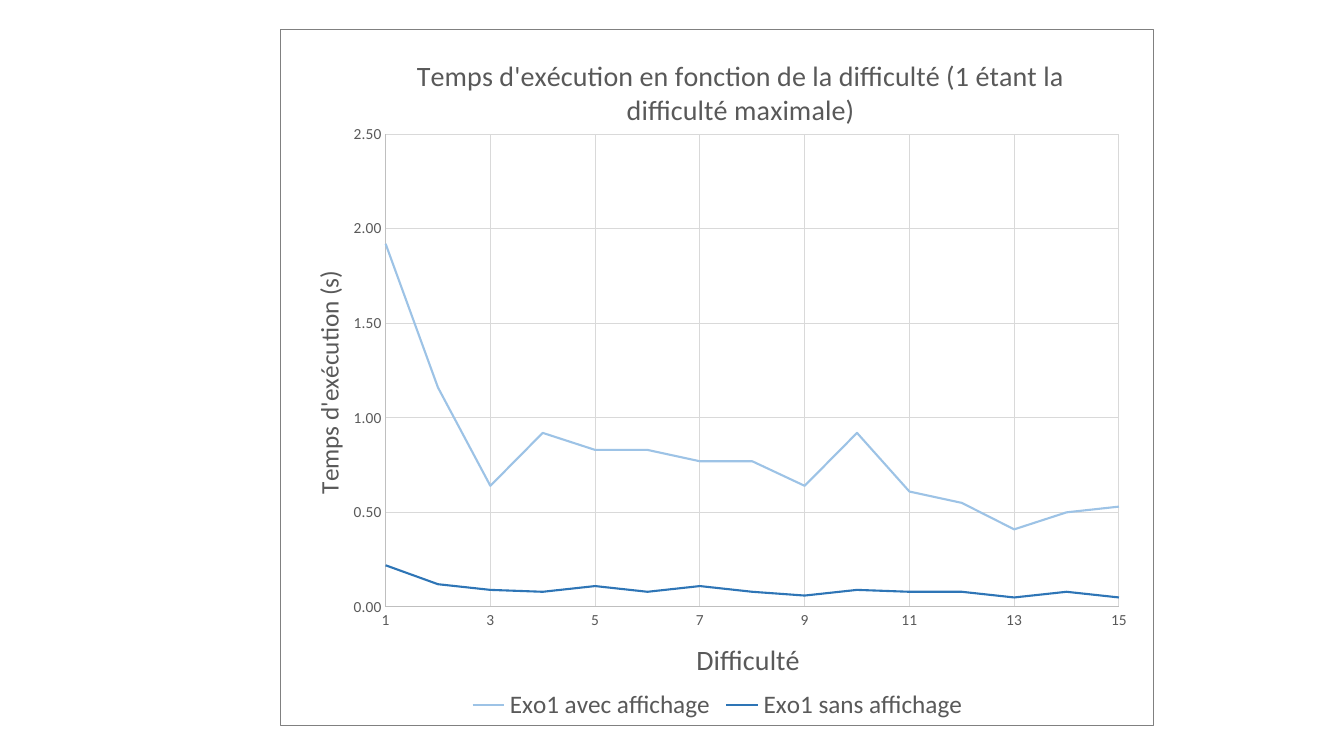
"""Build a slide charting execution time against difficulty."""
from dataclasses import dataclass

from lxml import etree
from pptx import Presentation
from pptx import util as u
from pptx.chart.data import XyChartData
from pptx.dml.color import RGBColor
from pptx.enum import chart as ch
from pptx.oxml import parse_xml
from pptx.oxml.ns import nsdecls, qn

COLORS = {"text": "595959", "grid": "D9D9D9", "axis": "BFBFBF", "border": "808080",
          "background": "FFFFFF", "with_display": "9DC3E6", "without_display": "2E75B6"}
FONT = "Calibri"


@dataclass(frozen=True)
class Timing:
    name: str
    color: str
    seconds: tuple[float, ...]


@dataclass(frozen=True)
class Heading:
    wording: str
    size: float
    x: float
    y: float


@dataclass(frozen=True)
class Scale:
    heading: Heading
    low: float
    high: float
    step: float
    number_format: str


TIMINGS = (
    Timing("Exo1 avec affichage", "with_display",
           (0.53, 0.5, 0.41, 0.55, 0.61, 0.92, 0.64, 0.77, 0.77, 0.83, 0.83, 0.92, 0.64, 1.16, 1.92)),
    Timing("Exo1 sans affichage", "without_display",
           (0.05, 0.08, 0.05, 0.08, 0.08, 0.09, 0.06, 0.08, 0.11, 0.08, 0.11, 0.08, 0.09, 0.12, 0.22)),
)
CHART_HEADING = Heading(
    "Temps d'exécution en fonction de la difficulté (1 étant la difficulté maximale)", 20, 0.15, 0.03)
DIFFICULTY = Scale(Heading("Difficulté", 20, 0.47, 0.87), 1, 15, 2, "General")
DURATION = Scale(Heading("Temps d'exécution (s)", 18, 0.03, 0.34), 0, 2.5, 0.5, "0.00")


def style_font(font, size: float) -> None:
    font.name = FONT
    font.size = u.Pt(size)
    font.bold = False
    font.color.rgb = RGBColor.from_string(COLORS["text"])


def style_line(line, color: str, width: float = 0.75) -> None:
    line.color.rgb = RGBColor.from_string(COLORS[color])
    line.width = u.Pt(width)


def place(parent, index: int, target: str = "", **lengths: float) -> None:
    for layout in parent.findall(qn("c:layout")):
        parent.remove(layout)
    layout = parse_xml(f"<c:layout {nsdecls('c')}><c:manualLayout/></c:layout>")
    settings = {"layoutTarget": target} if target else {}
    settings |= {"xMode": "edge", "yMode": "edge"} | lengths
    for tag, value in settings.items():
        etree.SubElement(layout[0], qn(f"c:{tag}")).set("val", str(value))
    parent.insert(index, layout)


def write_heading(owner, parent, heading: Heading, title) -> None:
    frame = title.text_frame
    frame.text = heading.wording
    style_font(frame.paragraphs[0].runs[0].font, heading.size)
    place(parent.find(qn("c:title")), 1, x=heading.x, y=heading.y)


def style_axis(axis, scale: Scale, parent) -> None:
    axis.minimum_scale, axis.maximum_scale = scale.low, scale.high
    axis.major_unit = scale.step
    axis.major_tick_mark = axis.minor_tick_mark = ch.XL_TICK_MARK.NONE
    axis.has_major_gridlines = True
    style_line(axis.major_gridlines.format.line, "grid")
    style_line(axis.format.line, "axis")
    labels = axis.tick_labels
    labels.number_format = scale.number_format
    labels.number_format_is_linked = False
    style_font(labels.font, 11)
    write_heading(axis, parent, scale.heading, axis.axis_title)


def add_border(chart_space) -> None:
    border = parse_xml(
        f'<c:spPr {nsdecls("c", "a")}><a:solidFill><a:srgbClr val="{COLORS["background"]}"/></a:solidFill>'
        f'<a:ln w="{u.Pt(0.75)}"><a:solidFill><a:srgbClr val="{COLORS["border"]}"/></a:solidFill></a:ln></c:spPr>')
    chart_space.find(qn("c:chart")).addnext(border)


def add_timing_chart(slide) -> None:
    data = XyChartData()
    for timing in TIMINGS:
        series = data.add_series(timing.name)
        for offset, seconds in enumerate(timing.seconds):
            series.add_data_point(DIFFICULTY.high - offset, seconds)
    chart = slide.shapes.add_chart(
        ch.XL_CHART_TYPE.XY_SCATTER_LINES_NO_MARKERS, u.Inches(2.78), u.Inches(0.29),
        u.Inches(8.67), u.Inches(6.91), data).chart
    style_font(chart.font, 10.5)
    chart_space = chart.element
    chart_root = chart_space.find(qn("c:chart"))
    plot_area = chart_root.find(qn("c:plotArea"))
    chart.has_title = True
    write_heading(chart, chart_root, CHART_HEADING, chart.chart_title)
    difficulty_xml, duration_xml = plot_area.findall(qn("c:valAx"))
    style_axis(chart.category_axis, DIFFICULTY, difficulty_xml)
    style_axis(chart.value_axis, DURATION, duration_xml)
    place(plot_area, 0, "inner", x=0.12, y=0.15, w=0.84, h=0.68)
    chart.plots[0].vary_by_categories = False
    for series, timing in zip(chart.plots[0].series, TIMINGS):
        series.smooth = False
        series.marker.style = ch.XL_MARKER_STYLE.NONE
        style_line(series.format.line, timing.color, 1.5)
    chart.has_legend = True
    chart.legend.position = ch.XL_LEGEND_POSITION.BOTTOM
    chart.legend.include_in_layout = False
    style_font(chart.legend.font, 18)
    add_border(chart_space)


def main() -> None:
    deck = Presentation()
    deck.slide_width, deck.slide_height = u.Inches(13.33), u.Inches(7.5)
    add_timing_chart(deck.slides.add_slide(deck.slide_layouts[6]))
    deck.save("out.pptx")


main()
